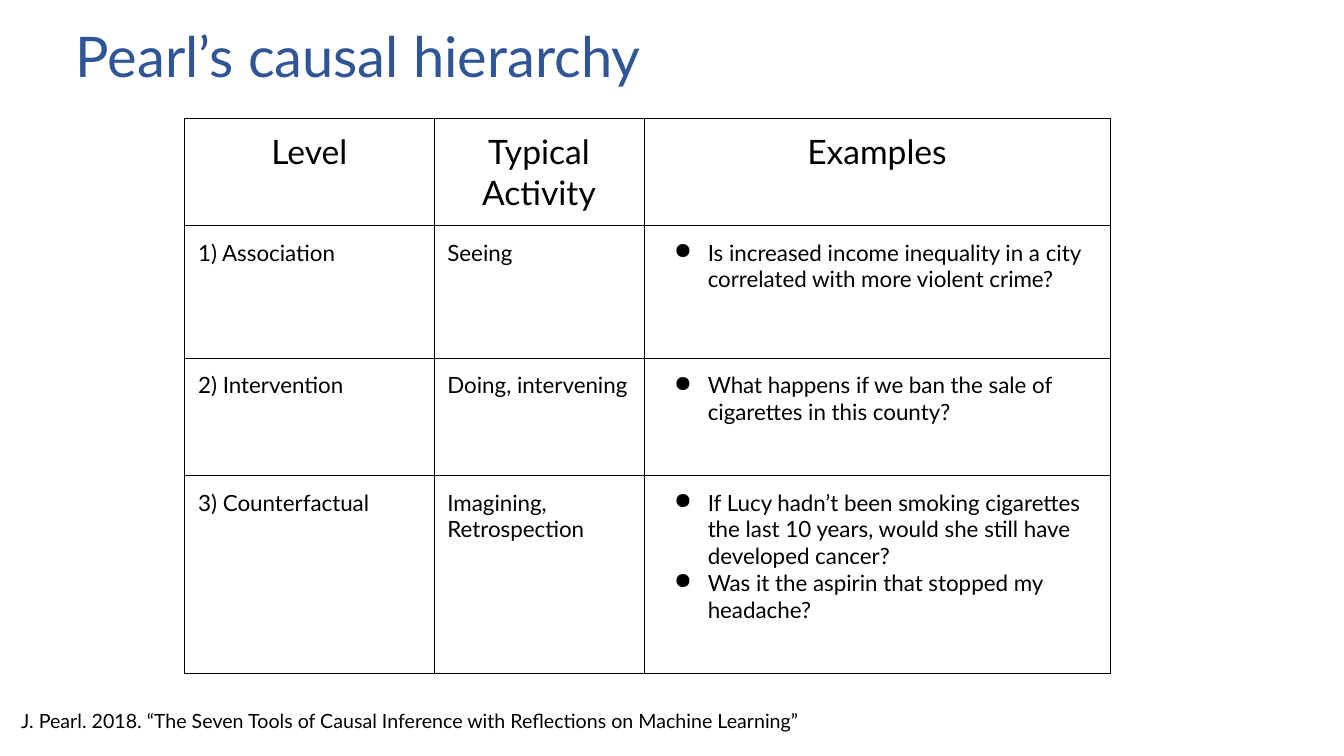
"""Build a slide with a table of Pearl's causal hierarchy."""
from lxml import etree
from pptx import Presentation
from pptx.dml.color import RGBColor
from pptx.enum.text import MSO_ANCHOR, PP_ALIGN
from pptx.oxml.ns import qn
from pptx.util import Pt

TOP = MSO_ANCHOR.TOP
LEFT, CENTER = PP_ALIGN.LEFT, PP_ALIGN.CENTER
FONT = "Lato"
COLORS = {"title": "2F5597", "text": "000000", "border": "000000"}
COLUMN_WIDTHS = [178, 150, 333]
ROW_HEIGHTS = [59, 94.5, 84, 141]
ROWS = [
    ["Level", "Typical Activity", ["Examples"]],
    ["1) Association", "Seeing",
     ["Is increased income inequality in a city correlated with more violent crime?"]],
    ["2) Intervention", "Doing, intervening",
     ["What happens if we ban the sale of cigarettes in this county?"]],
    ["3) Counterfactual", "Imagining, Retrospection",
     ["If Lucy hadn’t been smoking cigarettes the last 10 years, "
      "would she still have developed cancer?",
      "Was it the aspirin that stopped my headache?"]],
]


def style(p, size, color, align=LEFT):
    p.alignment = align
    p.font.name = FONT
    p.font.size = Pt(size)
    p.font.bold = False
    p.font.color.rgb = RGBColor.from_string(COLORS[color])


def add_borders(cell):
    tc_pr = cell._tc.get_or_add_tcPr()
    for side in ("lnL", "lnR", "lnT", "lnB"):
        ln = etree.SubElement(tc_pr, qn(f"a:{side}"), w=str(Pt(0.75)))
        fill = etree.SubElement(ln, qn("a:solidFill"))
        etree.SubElement(fill, qn("a:srgbClr"), val=COLORS["border"])


prs = Presentation()
prs.slide_width, prs.slide_height = Pt(960), Pt(540)
s = prs.slides.add_slide(prs.slide_layouts[5])

title = s.shapes.title
title.left, title.top, title.width, title.height = Pt(47), Pt(17.5), Pt(890), Pt(58)
tf = title.text_frame
tf.text = "Pearl’s causal hierarchy"
tf.vertical_anchor = TOP
tf.paragraphs[0].line_spacing = 0.9
style(tf.paragraphs[0], 40, "title")

source = s.shapes.add_textbox(Pt(8), Pt(502.5), Pt(884), Pt(29))
tf = source.text_frame
tf.word_wrap = True
tf.text = "J. Pearl. 2018. “The Seven Tools of Causal Inference with Reflections on Machine Learning”"
style(tf.paragraphs[0], 14, "text")

frame = s.shapes.add_table(len(ROWS), len(COLUMN_WIDTHS), Pt(132), Pt(84.5), Pt(661), Pt(396))
table = frame.table
table.first_row = table.horz_banding = False
for column, width in zip(table.columns, COLUMN_WIDTHS):
    column.width = Pt(width)
for row, height in zip(table.rows, ROW_HEIGHTS):
    row.height = Pt(height)
frame.height = Pt(396)

for i, row in enumerate(ROWS):
    for j, content in enumerate(row):
        cell = table.cell(i, j)
        add_borders(cell)
        cell.fill.background()
        cell.vertical_anchor = TOP
        cell.margin_left = cell.margin_right = cell.margin_top = cell.margin_bottom = Pt(9.6)
        is_list = i > 0 and j == 2
        cell.text = "\n".join(content) if j == 2 else content
        for p in cell.text_frame.paragraphs:
            if is_list:
                p_pr = p._p.get_or_add_pPr()
                p_pr.set("marL", str(Pt(36)))
                p_pr.set("indent", str(-Pt(24)))
                etree.SubElement(p_pr, qn("a:buChar"), char="●")
            style(p, 16 if i else 24, "text", LEFT if i else CENTER)

prs.save("out.pptx")
